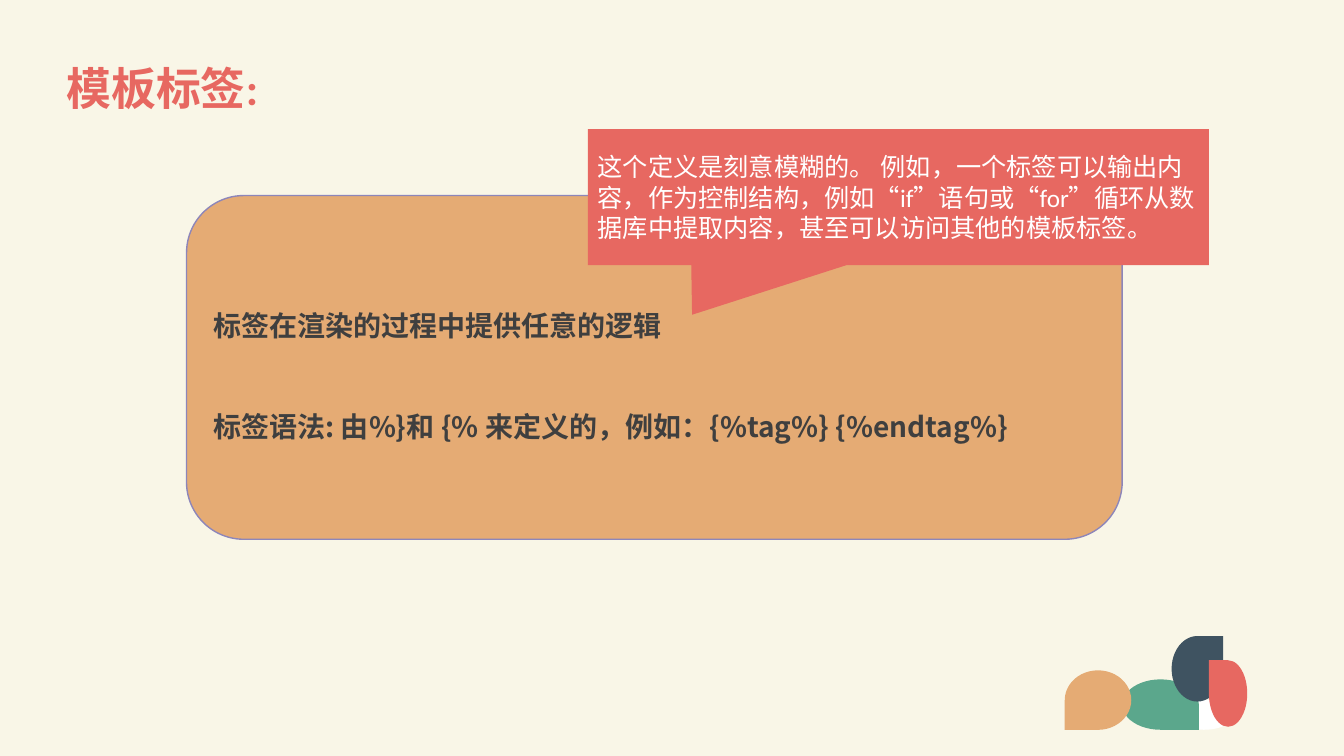
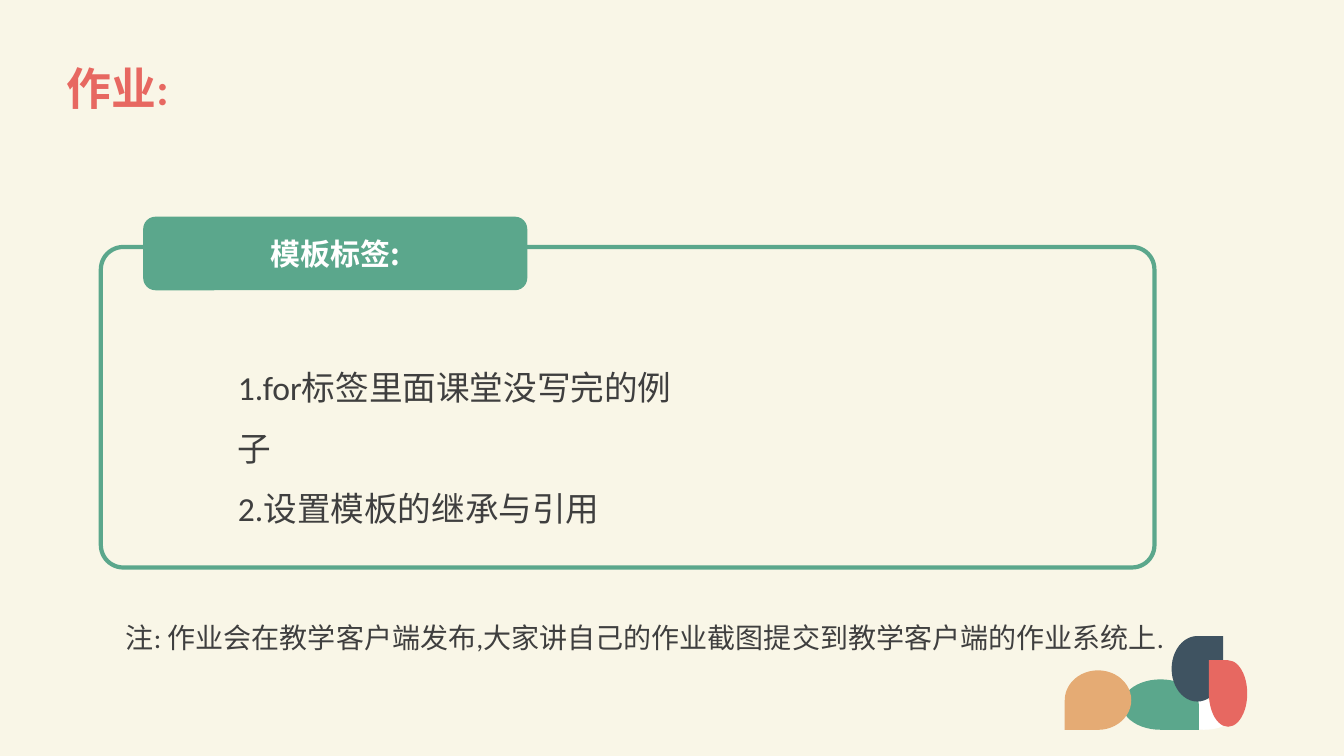
from lxml import etree
from pptx import Presentation
from pptx.dml.color import RGBColor
from pptx.enum.shapes import MSO_SHAPE
from pptx.enum.text import MSO_ANCHOR, MSO_AUTO_SIZE, PP_ALIGN
from pptx.oxml.ns import qn
from pptx.util import Inches, Pt

LEFT, CENTER = PP_ALIGN.LEFT, PP_ALIGN.CENTER
TOP, MIDDLE = MSO_ANCHOR.TOP, MSO_ANCHOR.MIDDLE
ELLIPSE, TEARDROP = MSO_SHAPE.OVAL, MSO_SHAPE.TEAR
ROUNDED = MSO_SHAPE.ROUNDED_RECTANGLE
CALLOUT = MSO_SHAPE.RECTANGULAR_CALLOUT
LATIN_FONT, CHINESE_FONT = "Calibri", "Noto Sans CJK SC"
COLORS = {
    "background": "F9F6E7",
    "coral": "E76861",
    "sand": "E5AB74",
    "green": "5BA78C",
    "navy": "3F5361",
    "violet": "8D86BA",
    "text": "3F3F3F",
    "white": "FFFFFF",
}


def write(shape, *lines, size, color="text", font=LATIN_FONT, bold=False,
          align=LEFT, anchor=MIDDLE, line_spacing=1.0, gap=0):
    frame = shape.text_frame
    frame.word_wrap = True
    frame.auto_size = MSO_AUTO_SIZE.NONE
    frame.vertical_anchor = anchor
    for index, line in enumerate(lines):
        paragraph = frame.add_paragraph() if index else frame.paragraphs[0]
        paragraph.alignment = align
        paragraph.line_spacing = line_spacing
        paragraph.space_before = Pt(gap if index else 0)
        run = paragraph.add_run()
        run.text = line
        run.font.size = Pt(size)
        run.font.bold = bold
        run.font.color.rgb = RGBColor.from_string(COLORS[color])
        run.font.name = font
        east_asian = etree.SubElement(run._r.get_or_add_rPr(), qn("a:ea"))
        east_asian.set("typeface", CHINESE_FONT)


def add_shape(slide, kind, box, fill=None, line=None, line_width=1, adjustments=()):
    shape = slide.shapes.add_shape(kind, *map(Inches, box))
    shape.shadow.inherit = False
    if fill:
        shape.fill.solid()
        shape.fill.fore_color.rgb = RGBColor.from_string(COLORS[fill])
    else:
        shape.fill.background()
    if line:
        shape.line.color.rgb = RGBColor.from_string(COLORS[line])
        shape.line.width = Pt(line_width)
    else:
        shape.line.fill.background()
    for index, value in enumerate(adjustments):
        shape.adjustments[index] = value
    return shape


presentation = Presentation()
presentation.slide_width = Inches(13.33)
presentation.slide_height = Inches(7.5)
background = presentation.slide_master.background.fill
background.solid()
background.fore_color.rgb = RGBColor.from_string(COLORS["background"])

content_layout, title_layout = presentation.slide_layouts[1], presentation.slide_layouts[5]
tags_slide = presentation.slides.add_slide(title_layout)
homework_slide = presentation.slides.add_slide(content_layout)

PETALS = [
    ("green", 11.13, 6.74, 0.76, 0.50, 90),
    ("navy", 11.62, 6.31, 0.51, 0.65, 0),
    ("coral", 11.99, 6.55, 0.38, 0.66, 270),
    ("sand", 10.56, 6.65, 0.66, 0.59, 180),
]
for slide, heading in [(tags_slide, "模板标签:"), (homework_slide, "作业:")]:
    title = slide.shapes.title
    title.left, title.top, title.width, title.height = map(Inches, (0.56, 0.37, 12.29, 1.06))
    write(title, heading, size=32, color="coral", bold=True, line_spacing=0.9)
    add_shape(slide, ELLIPSE, (11.64, 6.94, 0.6, 0.3), "white")
    for color, left, top, width, height, rotation in PETALS:
        if rotation % 180:
            left, top = left + (width - height) / 2, top + (height - width) / 2
            width, height = height, width
        petal = add_shape(slide, TEARDROP, (left, top, width, height), color, adjustments=[1])
        petal.rotation = rotation

definition = add_shape(tags_slide, ROUNDED, (1.85, 1.94, 9.28, 3.41), "sand", "violet")
write(definition, "标签在渲染的过程中提供任意的逻辑",
      "标签语法: 由%}和 {% 来定义的，例如：{%tag%} {%endtag%}",
      size=20, font=CHINESE_FONT, bold=True, line_spacing=1.5, gap=36)
explanation = add_shape(tags_slide, CALLOUT, (5.83, 1.28, 6.16, 1.35), "coral",
                        adjustments=[-0.332, 0.865])
write(explanation,
      "这个定义是刻意模糊的。 例如，一个标签可以输出内容，作为控制结构，"
      "例如“if”语句或“for”循环从数据库中提取内容，甚至可以访问其他的模板标签。",
      size=18, color="white")

add_shape(homework_slide, ROUNDED, (1, 2.45, 10.45, 3.18), line="green", line_width=3,
          adjustments=[0.07])
label = add_shape(homework_slide, ROUNDED, (1.42, 2.15, 3.81, 0.73), "green")
write(label, "模板标签:", size=21.4, color="white", font=CHINESE_FONT, bold=True, align=CENTER)

tasks = homework_slide.placeholders[1]
tasks.left, tasks.top, tasks.width, tasks.height = map(Inches, (2.26, 3.39, 4.82, 1.9))
write(tasks, "1.for标签里面课堂没写完的例子", "2.设置模板的继承与引用",
      size=24, anchor=TOP, line_spacing=1.5)
for paragraph in tasks.text_frame.paragraphs:
    properties = paragraph._p.get_or_add_pPr()
    properties.set("marL", "0")
    properties.set("indent", "0")
    etree.SubElement(properties, qn("a:buNone"))

note = homework_slide.shapes.add_textbox(*map(Inches, (1.15, 6.11, 10.47, 0.78)))
write(note, "注: 作业会在教学客户端发布,大家讲自己的作业截图提交到教学客户端的作业系统上.",
      size=20, anchor=TOP)

presentation.save("out.pptx")
